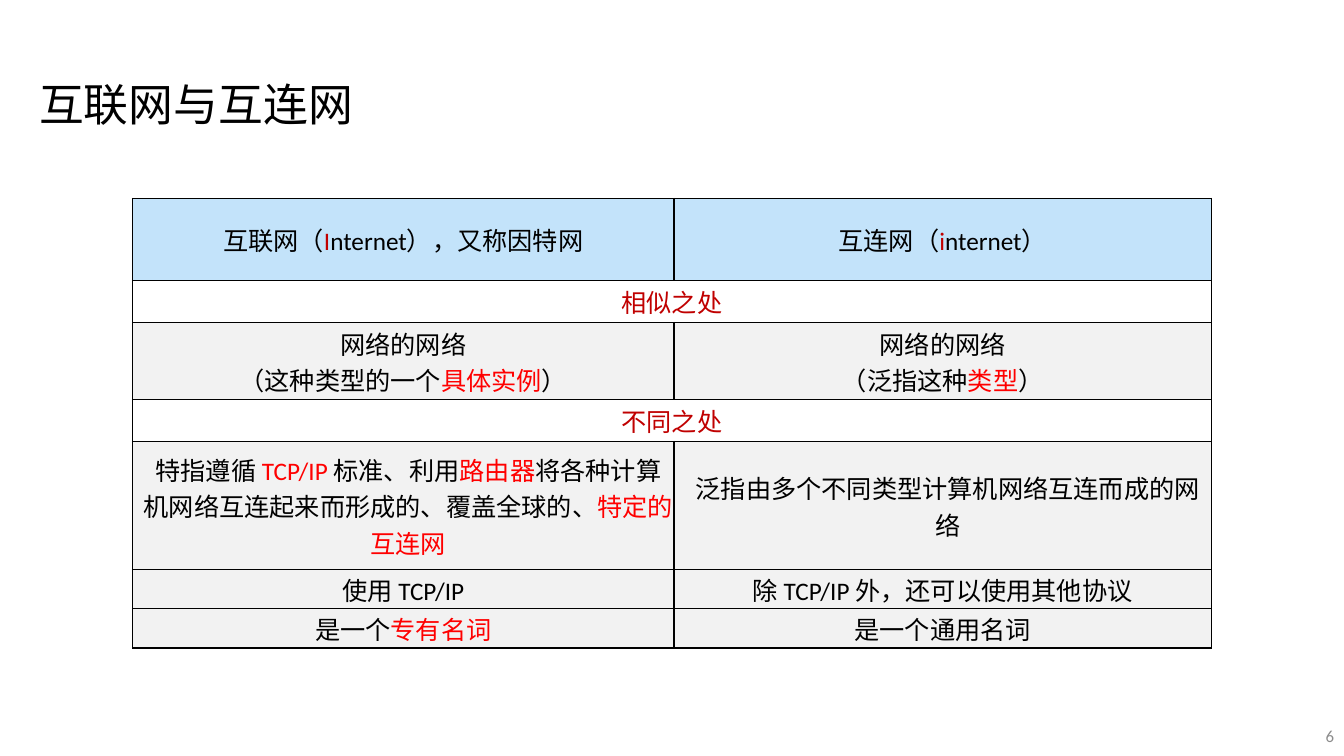
from dataclasses import dataclass

from lxml import etree
from pptx import Presentation
from pptx.dml.color import RGBColor
from pptx.enum.text import MSO_ANCHOR, PP_ALIGN
from pptx.oxml.ns import qn
from pptx.util import Inches, Pt

MIDDLE = MSO_ANCHOR.MIDDLE
LEFT, CENTER, RIGHT = PP_ALIGN.LEFT, PP_ALIGN.CENTER, PP_ALIGN.RIGHT


@dataclass(frozen=True)
class Theme:
    """Colours and type sizes of the slide."""
    font: str = "Calibri"
    ink: str = "000000"
    section: str = "C00000"
    accent: str = "FF0000"
    muted: str = "8C8C8C"
    header_fill: str = "C3E3FA"
    body_fill: str = "F2F2F2"
    title_size: int = 32
    table_size: int = 18
    number_size: int = 12
    border_width: int = 1


THEME = Theme()
SLIDE_WIDTH, SLIDE_HEIGHT = 13.33, 7.5
COLUMN_WIDTHS = (5.37, 5.33)
ROW_HEIGHTS = (0.81, 0.42, 0.76, 0.42, 1.27, 0.39, 0.39)
HEADER_ROW, DEFINITION_ROW = 0, 4
DEFINITION_INDENT = 0.1


def section(text):
    """Return a row holding one heading across both columns."""
    return [[(text, THEME.section)]]


def accent(text):
    """Return an emphasised piece of text."""
    return text, THEME.accent


COMPARISON = [
    [["互联网（", ("I", THEME.section), "nternet），又称因特网"],
     ["互连网（", ("i", THEME.section), "nternet）"]],
    section("相似之处"),
    [["网络的网络\n（这种类型的一个", accent("具体实例"), "）"],
     ["网络的网络\n（泛指这种", accent("类型"), "）"]],
    section("不同之处"),
    [["特指遵循 ", accent("TCP/IP "), "标准、利用", accent("路由器"),
      "将各种计算机网络互连起来而形成的、覆盖全球的、", accent("特定的互连网")],
     ["泛指由多个不同类型计算机网络互连而成的网络"]],
    [["使用 TCP/IP"], ["除 TCP/IP 外，还可以使用其他协议"]],
    [["是一个", accent("专有名词")], ["是一个通用名词"]],
]


def write(paragraph, pieces, size, align, color=THEME.ink):
    """Fill a paragraph with pieces, each plain or paired with a colour."""
    paragraph.alignment = align
    paragraph.font.name = THEME.font
    paragraph.font.size = Pt(size)
    for piece in pieces:
        text, piece_color = (piece, color) if isinstance(piece, str) else piece
        for index, line in enumerate(text.split("\n")):
            if index:
                paragraph.add_line_break()
            run = paragraph.add_run()
            run.text = line
            run.font.color.rgb = RGBColor.from_string(piece_color)


def add_label(slide, box, text, size, align, color):
    """Place one line of text, centred vertically in its box."""
    frame = slide.shapes.add_textbox(*map(Inches, box)).text_frame
    frame.word_wrap = True
    frame.vertical_anchor = MIDDLE
    write(frame.paragraphs[0], [text], size, align, color)


def add_borders(cell):
    """Draw a thin line on the four sides of a cell."""
    properties = cell._tc.get_or_add_tcPr()
    for side in ("a:lnL", "a:lnR", "a:lnT", "a:lnB"):
        line = etree.SubElement(properties, qn(side), w=str(Pt(THEME.border_width)))
        fill = etree.SubElement(line, qn("a:solidFill"))
        etree.SubElement(fill, qn("a:srgbClr"), val=THEME.ink)


def style_cell(cell, fill):
    """Set the borders, margins and fill of a cell."""
    add_borders(cell)
    cell.vertical_anchor = MIDDLE
    cell.margin_left = cell.margin_right = cell.margin_top = Inches(0.01)
    cell.margin_bottom = 0
    if fill:
        cell.fill.solid()
        cell.fill.fore_color.rgb = RGBColor.from_string(fill)
    else:
        cell.fill.background()


def add_comparison(slide, left, top):
    """Build the two-column comparison with its merged section rows."""
    table = slide.shapes.add_table(
        len(ROW_HEIGHTS), len(COLUMN_WIDTHS), Inches(left), Inches(top),
        Inches(sum(COLUMN_WIDTHS)), Inches(sum(ROW_HEIGHTS))).table
    table.first_row = table.horz_banding = False
    for column, width in zip(table.columns, COLUMN_WIDTHS):
        column.width = Inches(width)
    for index, (row, height, entries) in enumerate(
            zip(table.rows, ROW_HEIGHTS, COMPARISON)):
        row.height = Inches(height)
        is_section = len(entries) == 1
        fill = THEME.header_fill if index == HEADER_ROW else THEME.body_fill
        for cell in row.cells:
            style_cell(cell, None if is_section else fill)
        if is_section:
            table.cell(index, 0).merge(table.cell(index, len(COLUMN_WIDTHS) - 1))
        for cell, pieces in zip(row.cells, entries):
            paragraph = cell.text_frame.paragraphs[0]
            if index == DEFINITION_ROW:
                indent = str(Inches(DEFINITION_INDENT))
                paragraph._p.get_or_add_pPr().set("marL", indent)
            write(paragraph, pieces, THEME.table_size, CENTER)


def build_slide(presentation):
    """Compose the title, the comparison and the slide number."""
    slide = presentation.slides.add_slide(presentation.slide_layouts[6])
    add_label(slide, (SLIDE_WIDTH - 3, SLIDE_HEIGHT - 0.4, 3, 0.4), "6",
              THEME.number_size, RIGHT, THEME.muted)
    add_label(slide, (0.29, 0.71, 7.17, 0.64), "互联网与互连网",
              THEME.title_size, LEFT, THEME.ink)
    add_comparison(slide, (SLIDE_WIDTH - sum(COLUMN_WIDTHS)) / 2, 1.97)


def main():
    """Create the presentation and save it."""
    presentation = Presentation()
    presentation.slide_width = Inches(SLIDE_WIDTH)
    presentation.slide_height = Inches(SLIDE_HEIGHT)
    build_slide(presentation)
    presentation.save("out.pptx")


if __name__ == "__main__":
    main()
